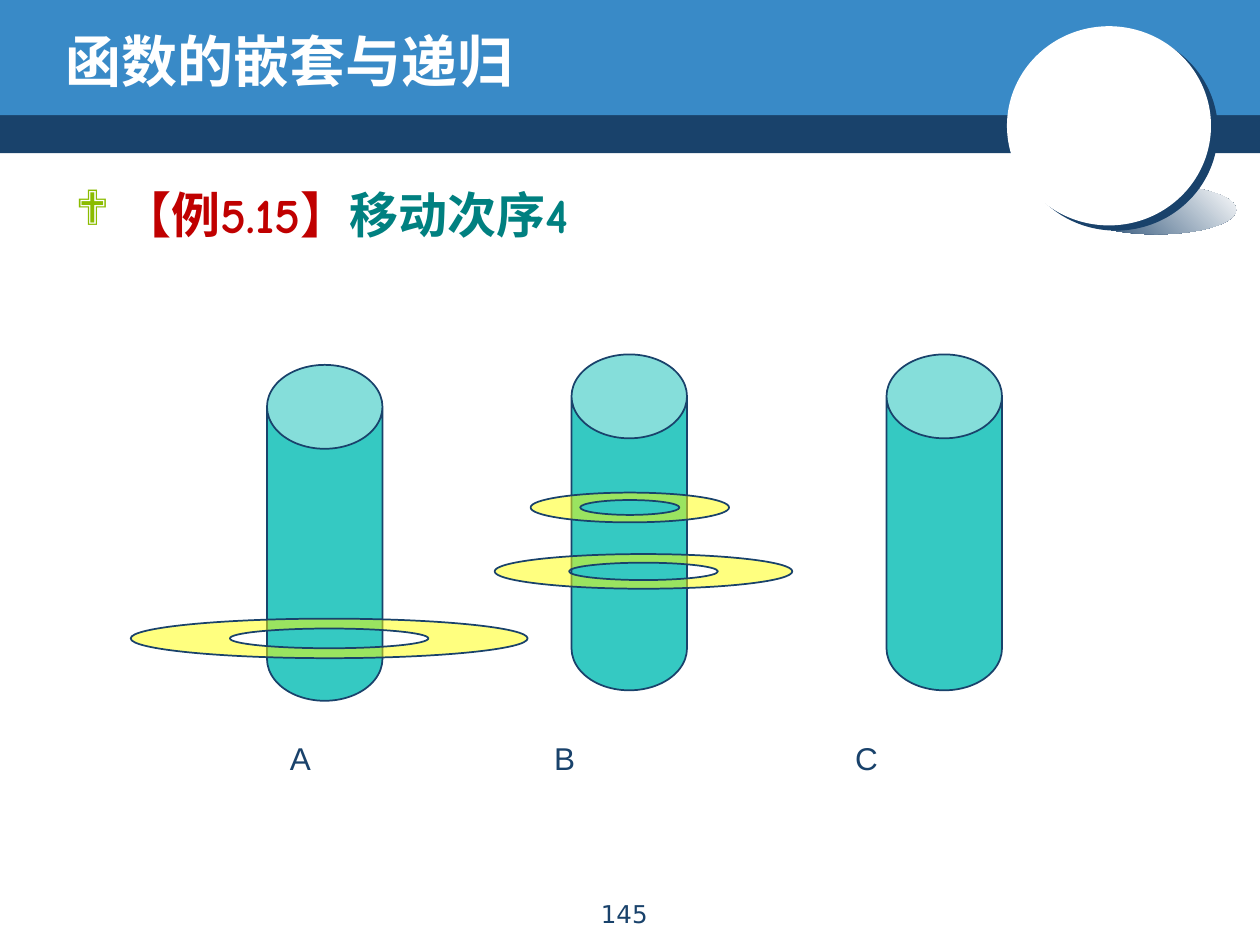
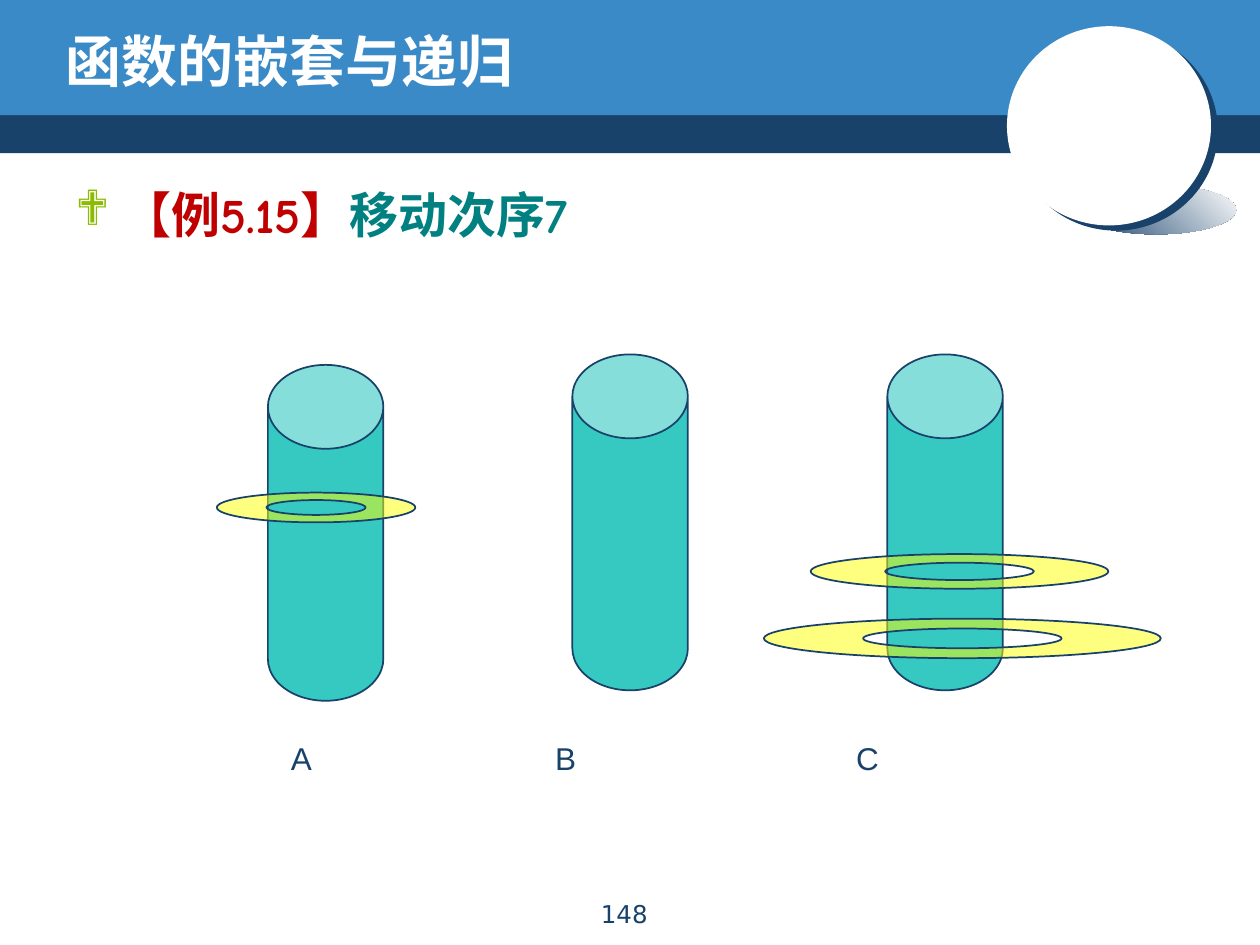
"""Build two slides that show steps of moving rings between three poles."""
from itertools import cycle

from lxml.etree import SubElement as Sub
from pptx import Presentation as Deck
from pptx.dml.color import RGBColor as Rgb
from pptx.enum.shapes import MSO_SHAPE as Kind
from pptx.enum.text import MSO_ANCHOR as Anchor, PP_ALIGN as Align
from pptx.oxml.ns import qn
from pptx.util import Pt

HUE = {"navy": "19426B", "blue": "398AC7", "white": "FFFFFF", "red": "C00000",
       "teal": "008080", "lime": "8BBC00", "pole": "35C9C2", "ring": "FFFF00"}
WIDE, HIGH = 720, 540
BEND = 0.55
POLES = [(0, 6), (174, 0), (354, 0)]
RINGS = [(113.4, 17, 87.5), (170.1, 19.8, 124), (226.8, 22.6, 162.3)]
STEPS = [("4", "145", 152.6, [207.3, 215.1, 35.5]),
         ("7", "148", 153.1, [27.5, 395.2, 396.8])]


def tint(name):
    return Rgb.from_string(HUE[name])


def paint(shape, fill, line=None):
    shape.shadow.inherit = False
    shape.fill.solid()
    shape.fill.fore_color.rgb = tint(fill)
    if line:
        shape.line.color.rgb = tint(line)
        shape.line.width = Pt(1)
    else:
        shape.line.fill.background()
    return shape


def draw(slide, kind, box, fill, line=None):
    return paint(slide.shapes.add_shape(kind, *map(Pt, box)), fill, line)


def write(slide, box, runs, size, font, bold=False, align=Align.LEFT,
          anchor=Anchor.TOP):
    frame = slide.shapes.add_textbox(*map(Pt, box)).text_frame
    frame.word_wrap = True
    frame.vertical_anchor = anchor
    para = frame.paragraphs[0]
    para.alignment = align
    for text, hue in runs:
        run = para.add_run()
        run.text = text
        run.font.size, run.font.name, run.font.bold = Pt(size), font, bold
        run.font.color.rgb = tint(hue)
    return para._p.get_or_add_pPr()


def mark(props, sign, hue, indent):
    props.set("marL", str(Pt(indent)))
    props.set("indent", str(-Pt(indent)))
    Sub(Sub(props, qn("a:buClr")), qn("a:srgbClr"), val=HUE[hue])
    Sub(props, qn("a:buFont"), typeface="Wingdings", charset="2")
    Sub(props, qn("a:buChar"), char=sign)


def set_tabs(props, stops):
    tabs = Sub(props, qn("a:tabLst"))
    for stop in stops:
        Sub(tabs, qn("a:tab"), pos=str(Pt(stop)), algn="l")


def orb(slide, x, y):
    group = slide.shapes.add_group_shape()
    glow = draw(group, Kind.OVAL, (x + 39.6, y + 90.8, 91.4, 28.1), "navy")
    glow.fill.gradient()
    glow.fill.gradient_angle = 45
    for stop, hue in zip(glow.fill.gradient_stops, ("navy", "white")):
        stop.color.rgb = tint(hue)
    ball = draw(group, Kind.OVAL, (x, y, 116.6, 113.8), "white")
    cast = Sub(ball._element.spPr.find(qn("a:effectLst")), qn("a:outerShdw"),
               dist=str(Pt(5)), dir=str(37 * 60000), algn="ctr",
               rotWithShape="0")
    Sub(cast, qn("a:srgbClr"), val=HUE["navy"])
    draw(group, Kind.OVAL, (x + 39.6, y + 34, 41, 42.5), "white")


def head(slide, x, y, wide):
    draw(slide, Kind.RECTANGLE, (x, y + 63, wide, 24.5), "navy")
    draw(slide, Kind.RECTANGLE, (x, y, wide, 65.8), "blue")
    orb(slide, x + wide - 144.6, y + 15)
    write(slide, (x + 30.2, y + 12.2, 581.8, 44.6),
          [("函数的嵌套与递归", "white")], 32, "Comic Neue", bold=True,
          anchor=Anchor.MIDDLE)


def topic(slide, x, y, step):
    props = write(slide, (x, y, 642.2, 43.9),
                  [("【例5.15】", "red"), ("移动次序" + step, "teal")],
                  28, "Comic Neue", bold=True)
    mark(props, "❖", "lime", 27)


def ends(x, y, wide, high):
    return [(Pt(x + a * wide / 2), Pt(y + b * high / 2))
            for a, b in ((-1, 0), (0, -1), (1, 0), (0, 1), (-1, 0))]


def bend(track):
    flat = cycle((True, False))
    last = None
    for step in track:
        if step.tag == qn("a:close"):
            continue
        spot = [int(step[0].get(axis)) for axis in "xy"]
        if step.tag == qn("a:lnTo"):
            nook = (last[0], spot[1]) if next(flat) else (spot[0], last[1])
            step.tag = qn("a:cubicBezTo")
            for place, base in enumerate((last, spot)):
                grip = [round(a + BEND * (b - a)) for a, b in zip(base, nook)]
                dot = Sub(step, qn("a:pt"), x=str(grip[0]), y=str(grip[1]))
                step.insert(place, dot)
        last = spot


def ring(slide, x, y, wide, high):
    outer = ends(x, y, wide, high)
    inner = ends(x, y, wide / 2, high / 2)[::-1]
    pen = slide.shapes.build_freeform(*outer[0])
    pen.add_line_segments(outer[1:])
    pen.move_to(*inner[0])
    pen.add_line_segments(inner[1:])
    shape = paint(pen.convert_to_shape(), "ring", "navy")
    props = shape._element.spPr
    bend(next(props.iter(qn("a:path"))))
    Sub(props.find(qn("a:solidFill"))[0], qn("a:alpha"), val="50000")


def board(slide, x, y, mids):
    for left, top in POLES:
        pole = draw(slide, Kind.CAN, (x + left, y + top, 66, 192), "pole", "navy")
        pole.adjustments[0] = 0.727
    for mid, (wide, high, drop) in zip(mids, RINGS):
        ring(slide, x + mid, y + drop, wide, high)
    props = write(slide, (x + 6, y + 216, 432, 36), [("A\tB\tC", "navy")],
                  18, "Arial")
    set_tabs(props, (151, 323))


def foot(slide, x, y, page):
    write(slide, (x, y, 130.3, 23), [(page, "navy")], 14, "DejaVu Sans",
          align=Align.CENTER)


def main():
    deck = Deck()
    deck.slide_width, deck.slide_height = Pt(WIDE), Pt(HIGH)
    for step, page, left, mids in STEPS:
        slide = deck.slides.add_slide(deck.slide_layouts[6])
        head(slide, 0, 0, WIDE)
        topic(slide, 36, 101.8, step)
        foot(slide, 291.6, 510, page)
        board(slide, left, 202.5, mids)
    deck.save("out.pptx")


if __name__ == "__main__":
    main()
